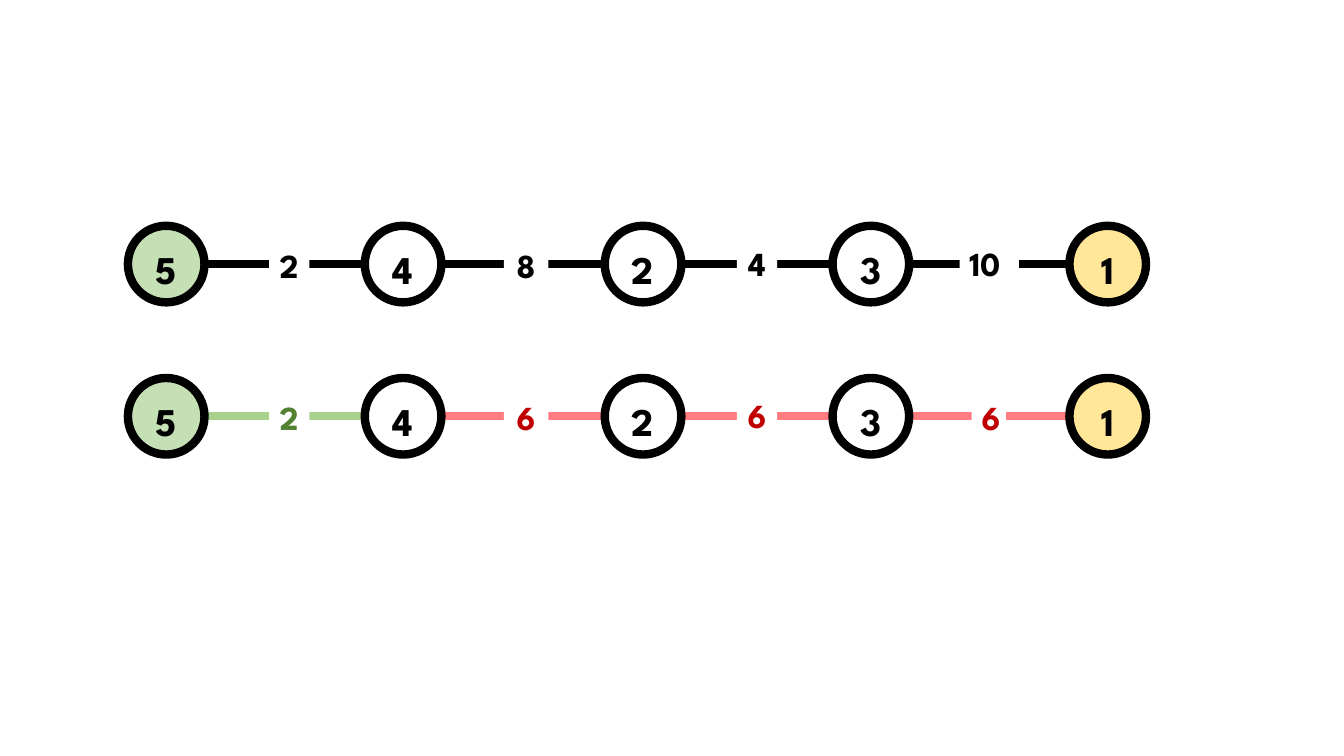
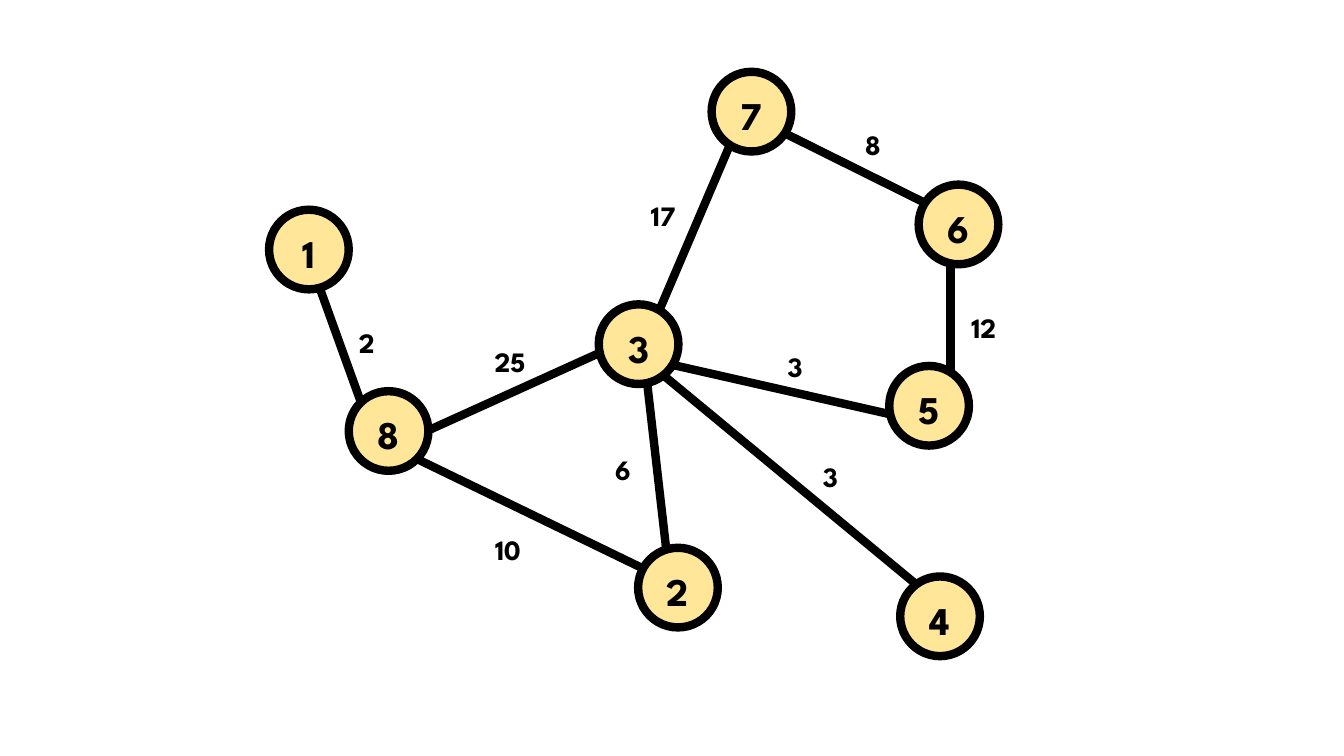
from dataclasses import dataclass

from lxml import etree
from pptx import Presentation
from pptx.dml.color import RGBColor
from pptx.enum import shapes, text
from pptx.oxml import ns
from pptx.util import Pt


@dataclass(frozen=True)
class Theme:
    font: str = "League Spartan"
    black: str = "000000"
    white: str = "FFFFFF"
    mint: str = "C5E0B4"
    gold: str = "FFE699"
    green: str = "A9D18E"
    leaf: str = "548235"
    pink: str = "FF7C80"
    red: str = "C00000"
    stroke: float = 6
    node: float = 28
    weight: float = 24
    small: float = 20


look = Theme()
LEFT, MID = text.PP_ALIGN.LEFT, text.PP_ALIGN.CENTER


def rgb(code):
    return RGBColor.from_string(code)


def write(shape, words, size, ink, align=MID):
    frame = shape.text_frame
    frame.word_wrap = True
    frame.text = words
    line = frame.paragraphs[0]
    line.alignment = align
    font = line.runs[0].font
    font.name, font.size, font.bold = look.font, Pt(size), True
    font.color.rgb = rgb(ink)


# Chains: the same five nodes in two rows, each link cut by its weight
side = 54.7
chain = [("5", 91.4, look.mint), ("4", 260.6, None), ("2", 432, None),
         ("3", 594.7, None), ("1", 763.9, look.gold)]
# weight, left, drop below the row top, width, line colour, text colour, alignment
rows = [
    (161.3, [("2", 192.2, 10.1, 28.8, look.black, look.black, MID),
             ("8", 360, 10.1, 31.7, look.black, look.black, MID),
             ("4", 526.3, 8.6, 28.8, look.black, look.black, MID),
             ("10", 685.4, 8.6, 42.5, look.black, look.black, LEFT)]),
    (270, [("2", 192.2, 10.1, 28.8, look.green, look.leaf, MID),
           ("6", 360, 10.1, 31.7, look.pink, look.red, MID),
           ("6", 526.3, 8.6, 28.8, look.pink, look.red, MID),
           ("6", 694.1, 10.1, 24.5, look.pink, look.red, MID)]),
]
links, nodes, tags = [], [], []
for top, steps in rows:
    nodes += [(name, x, top, side, fill) for name, x, fill in chain]
    mid = top + side / 2
    for here, there, step in zip(chain, chain[1:], steps):
        name, x, drop, wide, hue, ink, align = step
        links.append((here[1] + side, mid, there[1], mid, hue))
        tags.append((name, x, top + drop, wide, 36, look.weight, ink, align, look.white))

# Graph: weight, label left and top, then both ends of the edge
edges = [
    ("2", 234.7, 229, 257.8, 287.3, 228.2, 205.2),
    ("25", 337, 241.9, 428.4, 252, 306, 307.4),
    ("10", 335.5, 376.6, 459.4, 406.1, 297.4, 327.6),
    ("6", 417.6, 319.7, 475.9, 392.4, 462.2, 272.9),
    ("17", 446.4, 138.2, 470.9, 221.8, 521.3, 103.7),
    ("8", 596.2, 87.1, 560.2, 95, 660.2, 144.7),
    ("12", 675.4, 218.2, 679, 186.5, 679, 265.7),
    ("3", 540.7, 245.5, 480.2, 260.6, 635.8, 295.9),
    ("3", 565.9, 324.7, 474.5, 268.6, 653, 416.2),
]
spots = [("1", 192.2, 149.8), ("2", 455.8, 391.3), ("3", 427.7, 217.4),
         ("4", 643, 411.8), ("5", 635.2, 261.4), ("6", 656.2, 131.9),
         ("7", 508.3, 51.3), ("8", 249.1, 279.4)]
pages = [
    (links, nodes, tags),
    ([(*ends, look.black) for _, _, _, *ends in edges],
     [(name, x, y, 56.9, look.gold) for name, x, y in spots],
     [(name, x, y, 54.7, 31.7, look.small, look.black, MID, None)
      for name, x, y, *_ in edges]),
]

deck = Presentation()
deck.slide_width, deck.slide_height = Pt(960), Pt(540)
for links, nodes, tags in pages:
    items = deck.slides.add_slide(deck.slide_layouts[6]).shapes

    for *ends, hue in links:
        edge = items.add_connector(shapes.MSO_CONNECTOR.STRAIGHT, *map(Pt, ends))
        edge.line.width = Pt(look.stroke)
        edge.line.color.rgb = rgb(hue)
        etree.SubElement(edge.element.spPr, ns.qn("a:effectLst"))

    for name, x, y, size, fill in nodes:
        node = items.add_shape(shapes.MSO_SHAPE.OVAL, Pt(x), Pt(y), Pt(size), Pt(size))
        node.shadow.inherit = False
        if fill:
            node.fill.solid()
            node.fill.fore_color.rgb = rgb(fill)
        else:
            node.fill.background()
        node.line.width = Pt(look.stroke)
        node.line.color.rgb = rgb(look.black)
        write(node, name, look.node, look.black)
        frame = node.text_frame
        frame.vertical_anchor = text.MSO_ANCHOR.TOP
        frame.margin_left = frame.margin_right = frame.margin_bottom = 0
        frame.margin_top = Pt(5.7)

    for name, x, y, wide, high, size, ink, align, fill in tags:
        box = Pt(x), Pt(y), Pt(wide), Pt(high)
        if fill:
            tag = items.add_shape(shapes.MSO_SHAPE.RECTANGLE, *box)
            tag.shadow.inherit = False
            tag.fill.solid()
            tag.fill.fore_color.rgb = rgb(fill)
            tag.line.fill.background()
        else:
            tag = items.add_textbox(*box)
        write(tag, name, size, ink, align)
        tag.text_frame.vertical_anchor = text.MSO_ANCHOR.MIDDLE

deck.save("out.pptx")
